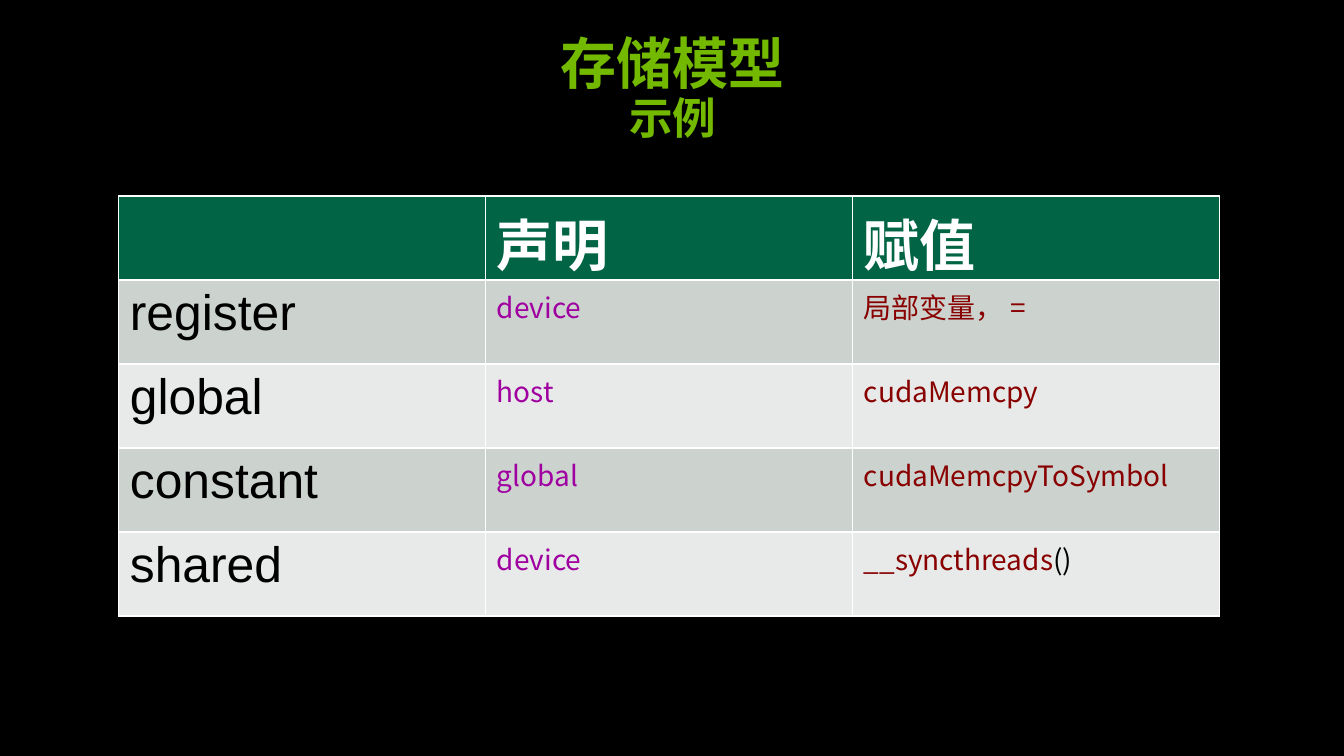
from pptx import Presentation
from pptx.dml.color import RGBColor
from pptx.enum import text
from pptx.util import Inches, Pt

BLACK = RGBColor(0x00, 0x00, 0x00)
WHITE = RGBColor(0xFF, 0xFF, 0xFF)
LIME = RGBColor(0x73, 0xB9, 0x00)
GREEN = RGBColor(0x00, 0x64, 0x45)
BANDS = RGBColor(0xCC, 0xD3, 0xCF), RGBColor(0xE7, 0xEA, 0xE9)
PURPLE = RGBColor(0xA0, 0x00, 0xA0)
RED = RGBColor(0x88, 0x00, 0x00)

HEADER = ["", "声明", "赋值"]
MEMORY_KINDS = [
    ["register", "device", "局部变量， ="],
    ["global", "host", "cudaMemcpy"],
    ["constant", "global", "cudaMemcpyToSymbol"],
    ["shared", "device", "__syncthreads"],
]
# Font name, size and colour of each body column
COLUMN_STYLES = [
    ("Arial", 32, BLACK),
    ("Noto Sans CJK SC", 18, PURPLE),
    ("Noto Sans CJK SC", 18, RED),
]


def set_font(font, name, size, color, bold=False):
    font.name, font.size, font.bold = name, Pt(size), bold
    font.color.rgb = color


def add_title(s, left, top, width, height):
    tf = s.shapes.add_textbox(left, top, width, height).text_frame
    tf.word_wrap = True
    tf.vertical_anchor = text.MSO_ANCHOR.MIDDLE
    p = tf.paragraphs[0]
    p.alignment = text.PP_ALIGN.CENTER
    p.line_spacing = 0.9
    set_font(p.font, "Karla", 36, LIME, True)
    p.add_run().text = "存储模型"
    p.add_line_break()
    r = p.add_run()
    r.text = "示例"
    r.font.size = Pt(28)


def fill_cell(cell, content, fill, style):
    cell.fill.solid()
    cell.fill.fore_color.rgb = fill
    p = cell.text_frame.paragraphs[0]
    set_font(p.font, *style)
    if content:
        p.add_run().text = content


def add_memory_table(s, left, top, width, height):
    # The default table style supplies the white rules
    rows = [HEADER] + MEMORY_KINDS
    table = s.shapes.add_table(
        len(rows), len(HEADER), left, top, width, height).table
    for i, row in enumerate(rows):
        for j, content in enumerate(row):
            if i == 0:
                fill, style = GREEN, ("Arial", 36, WHITE, True)
            else:
                fill, style = BANDS[(i - 1) % 2], COLUMN_STYLES[j]
            fill_cell(table.cell(i, j), content, fill, style)

    # Black call brackets after the last function name
    r = table.cell(len(rows) - 1, 2).text_frame.paragraphs[0].add_run()
    r.text = "()"
    r.font.color.rgb = BLACK


def main():
    prs = Presentation()
    prs.slide_width, prs.slide_height = Inches(12), Inches(6.75)
    s = prs.slides.add_slide(prs.slide_layouts[6])
    s.background.fill.solid()
    s.background.fill.fore_color.rgb = BLACK
    add_title(s, Inches(0.97), Inches(0.27), Inches(10.07), Inches(1.07))
    add_memory_table(s, Inches(1.06), Inches(1.75), Inches(9.83), Inches(3.75))
    prs.save("out.pptx")


if __name__ == "__main__":
    main()
